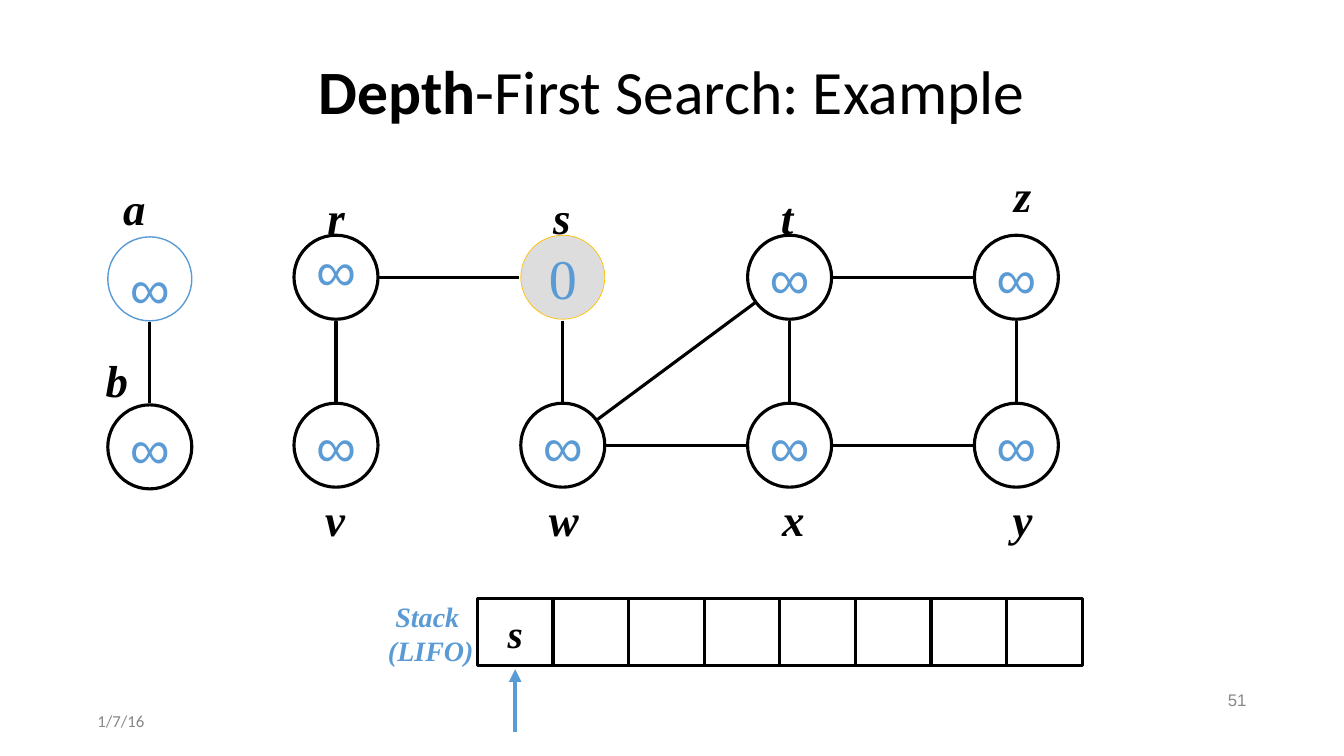
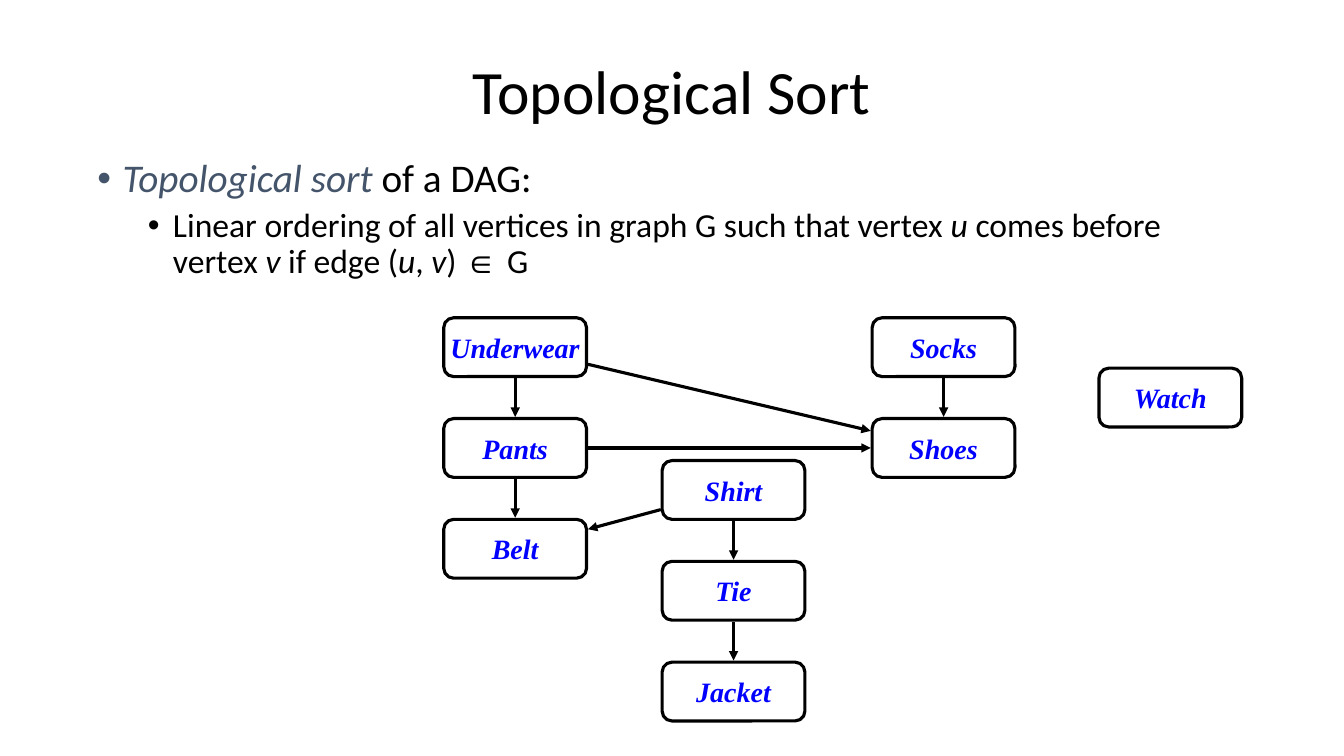
import dataclasses
import functools
import math

import lxml.etree
import pptx
import pptx.dml.color
import pptx.enum.shapes
import pptx.enum.text
import pptx.oxml.ns
import pptx.util

Pt = pptx.util.Pt
RGB = pptx.dml.color.RGBColor.from_string
qn = pptx.oxml.ns.qn
Align = pptx.enum.text.PP_ALIGN
Anchor = pptx.enum.text.MSO_ANCHOR
Preset = pptx.enum.shapes.MSO_SHAPE
INFINITY = "∞"


@dataclasses.dataclass(frozen=True)
class Theme:
    ink: str = "000000"
    accent: str = "5B9BD5"
    term: str = "44546A"
    garment: str = "0000FF"
    muted: str = "888888"
    visited: str = "DDDDDD"
    visited_edge: str = "FFC000"
    paper: str = "FFFFFF"
    sans: str = "Calibri"
    plain: str = "Arial"
    serif: str = "Times New Roman"
    title: float = 44
    distance: float = 40
    vertex: float = 32
    body: float = 28
    detail: float = 24
    box: float = 20
    footer: float = 12
    outline: float = 2.25
    inset: float = 3.6


THEME = Theme()


def style(family, size, color=THEME.ink, **extras):
    return {"name": family, "size": Pt(size), "color.rgb": RGB(color), **extras}


def bold_italic(size, color=THEME.ink):
    return style(THEME.serif, size, color, bold=True, italic=True)


TITLE = style(THEME.sans, THEME.title)
DISTANCE = style(THEME.plain, THEME.distance, THEME.accent)
START_DISTANCE = style(THEME.serif, THEME.distance, THEME.accent)
VERTEX = bold_italic(THEME.vertex)
STACK_ITEM = bold_italic(THEME.body)
STACK_LABEL = bold_italic(THEME.box, THEME.accent)
GARMENT = bold_italic(THEME.box, THEME.garment)
BODY = style(THEME.sans, THEME.body)
DETAIL = style(THEME.sans, THEME.detail)
DETAIL_ITALIC = {**DETAIL, "italic": True}
DETAIL_SYMBOL = {**DETAIL, "name": THEME.plain}


def apply(target, formats):
    for name, value in formats.items():
        *owners, last = name.split(".")
        setattr(functools.reduce(getattr, owners, target), last, value)


def write(frame, paragraphs, align=Align.CENTER, anchor=Anchor.MIDDLE,
          wrap=True, spacing=None, inset=THEME.inset):
    margins = {f"margin_{side}": Pt(inset) for side in ("left", "right", "top", "bottom")}
    apply(frame, {**margins, "word_wrap": wrap, "vertical_anchor": anchor})
    for index, runs in enumerate(paragraphs):
        paragraph = frame.paragraphs[0] if index == 0 else frame.add_paragraph()
        apply(paragraph, {"alignment": align, "line_spacing": spacing})
        for text, formats in runs:
            run = paragraph.add_run()
            run.text = text
            apply(run.font, formats)


def add_text(slide, area, paragraphs, **options):
    frame = slide.shapes.add_textbox(*map(Pt, area)).text_frame
    write(frame, paragraphs, **options)
    return frame


def add_outline(slide, preset, area, fill=None, edge=THEME.ink, weight=THEME.outline):
    shape = slide.shapes.add_shape(preset, *map(Pt, area))
    shape.shadow.inherit = False
    if fill:
        shape.fill.solid()
        shape.fill.fore_color.rgb = RGB(fill)
    else:
        shape.fill.background()
    apply(shape.line, {"color.rgb": RGB(edge), "width": Pt(weight)})
    return shape


def add_line(slide, start, end, color=THEME.ink, weight=THEME.outline, arrow=False):
    line = slide.shapes.add_connector(
        pptx.enum.shapes.MSO_CONNECTOR.STRAIGHT, *map(Pt, (*start, *end)))
    apply(line.line, {"color.rgb": RGB(color), "width": Pt(weight)})
    properties = line._element.spPr
    if arrow:
        lxml.etree.SubElement(properties.find(qn("a:ln")), qn("a:tailEnd"), type="triangle")
    lxml.etree.SubElement(properties, qn("a:effectLst"))


def set_bullet(paragraph, indent, before, color):
    paragraph.space_before = Pt(before)
    properties = paragraph._p.get_or_add_pPr()
    properties.set("marL", str(Pt(indent)))
    properties.set("indent", str(-Pt(18)))
    tint = lxml.etree.SubElement(properties, qn("a:buClr"))
    lxml.etree.SubElement(tint, qn("a:srgbClr"), val=color)
    lxml.etree.SubElement(properties, qn("a:buFont"), typeface=THEME.plain)
    lxml.etree.SubElement(properties, qn("a:buChar"), char="•")


def add_title(slide, *runs):
    add_text(slide, (66, 28.75, 828, 77), [runs], spacing=0.9)


def circle_reach(dx, dy):
    return 31 / math.hypot(dx, dy)


def box_reach(dx, dy):
    return min(limit / abs(delta) for limit, delta in ((52, dx), (22.2, dy)) if delta)


def link(slide, start, end, reach, arrow=False):
    dx, dy = end[0] - start[0], end[1] - start[1]
    share = reach(dx, dy)
    add_line(slide, (start[0] + dx * share, start[1] + dy * share),
             (end[0] - dx * share, end[1] - dy * share), arrow=arrow)


def add_vertex(slide, center, distance=INFINITY, formats=DISTANCE,
               spacing=None, drop=0, **look):
    x, y = center
    frame = add_outline(slide, Preset.OVAL, (x - 30, y - 30, 60, 60), **look).text_frame
    write(frame, [[(distance, formats)]], wrap=False, spacing=spacing, inset=0)
    frame.margin_top = Pt(2 * drop)


def add_vertex_name(slide, name, center, shift):
    x, y = center[0] + shift[0], center[1] + shift[1]
    add_text(slide, (x - 20, y, 40, 43.2), [[(name, VERTEX)]],
             anchor=Anchor.TOP, wrap=False)


def add_stack(slide, items, capacity=8):
    left, top, width, height = 341, 427.7, 54, 48
    for index in range(capacity):
        cell = add_outline(slide, Preset.RECTANGLE, (left + index * width, top, width, height))
        if index < len(items):
            write(cell.text_frame, [[(items[index], STACK_ITEM)]])
    add_text(slide, (271.5, 424.8, 72.5, 52.6),
             [[("Stack ", STACK_LABEL)], [("(LIFO)", STACK_LABEL)]], anchor=Anchor.TOP)
    pointer = left + width / 2
    add_line(slide, (pointer, 522.7), (pointer, 478), THEME.accent, 3, arrow=True)


def build_search(slide):
    add_title(slide, ("Depth", {**TITLE, "bold": True}), ("-First Search: Example", TITLE))
    columns = ["rv", "sw", "tx", "zy"]
    centers = {name: (240 + 162 * column, 198 + 120 * row)
               for column, names in enumerate(columns) for row, name in enumerate(names)}
    centers.update(a=(107, 199.2), b=(107, 319.2))
    looks = {
        "a": {"drop": 6, "fill": THEME.paper, "edge": THEME.accent, "weight": 1},
        "r": {"spacing": 0.7},
        "s": {"distance": "0", "formats": START_DISTANCE, "fill": THEME.visited,
              "edge": THEME.visited_edge, "weight": 0.5},
    }
    name_shifts = {"a": (-11, -74), "b": (-23.5, -71), "r": (0, -66), "s": (-0.6, -66),
                   "t": (-1.7, -66), "z": (4.4, -82), "v": (-0.6, 30), "w": (0.8, 30),
                   "x": (2.6, 30), "y": (4.4, 30)}
    for start, end in ("ab", "rv", "rs", "sw", "wt", "wx", "tx", "tz", "xy", "zy"):
        link(slide, centers[start], centers[end], circle_reach)
    for name, center in centers.items():
        add_vertex(slide, center, **looks.get(name, {}))
    for name, shift in name_shifts.items():
        add_vertex_name(slide, name, centers[name], shift)
    add_stack(slide, ["s"])
    add_text(slide, (678, 489.6, 216, 21),
             [[("51", style(THEME.plain, THEME.footer, THEME.muted))]], align=Align.RIGHT)
    add_text(slide, (66, 504, 216, 21),
             [[("1/7/16", style(THEME.sans, THEME.footer, THEME.muted))]], align=Align.LEFT)


def build_sort(slide):
    add_title(slide, ("Topological Sort", TITLE))
    term = style(THEME.sans, THEME.body, THEME.term, italic=True)
    definition = [
        [("Topological sort", term), (" of a DAG:", BODY)],
        [("Linear ordering of all vertices in graph G such that vertex ", DETAIL),
         ("u", DETAIL_ITALIC), (" comes before vertex ", DETAIL), ("v", DETAIL_ITALIC),
         (" if edge (", DETAIL), ("u", DETAIL_ITALIC), (", ", DETAIL),
         ("v", DETAIL_ITALIC), (") ", DETAIL), ("∈ ", DETAIL_SYMBOL), ("G", DETAIL)],
    ]
    frame = add_text(slide, (66, 110, 828, 112), definition,
                     align=Align.LEFT, anchor=Anchor.TOP, spacing=0.9)
    set_bullet(frame.paragraphs[0], 18, 10, THEME.term)
    set_bullet(frame.paragraphs[1], 54, 5, THEME.ink)

    chains = [
        (368, 248, ["Underwear", "Pants", "Belt"]),
        (674, 248, ["Socks", "Shoes"]),
        (524, 350, ["Shirt", "Tie", "Jacket"]),
        (836, 284, ["Watch"]),
    ]
    centers = {garment: (x, top + 72 * step)
               for x, top, garments in chains for step, garment in enumerate(garments)}
    for garment, (x, y) in centers.items():
        box = add_outline(slide, Preset.ROUNDED_RECTANGLE, (x - 51, y - 21, 102, 42))
        write(box.text_frame, [[(garment, GARMENT)]], wrap=False)
    orders = [pair for *_, garments in chains for pair in zip(garments, garments[1:])]
    orders += [("Underwear", "Shoes"), ("Pants", "Shoes"), ("Shirt", "Belt")]
    for before, after in orders:
        link(slide, centers[before], centers[after], box_reach, arrow=True)


def main():
    deck = pptx.Presentation()
    apply(deck, {"slide_width": Pt(960), "slide_height": Pt(540)})
    for build in (build_search, build_sort):
        build(deck.slides.add_slide(deck.slide_layouts[6]))
    deck.save("out.pptx")


if __name__ == "__main__":
    main()
